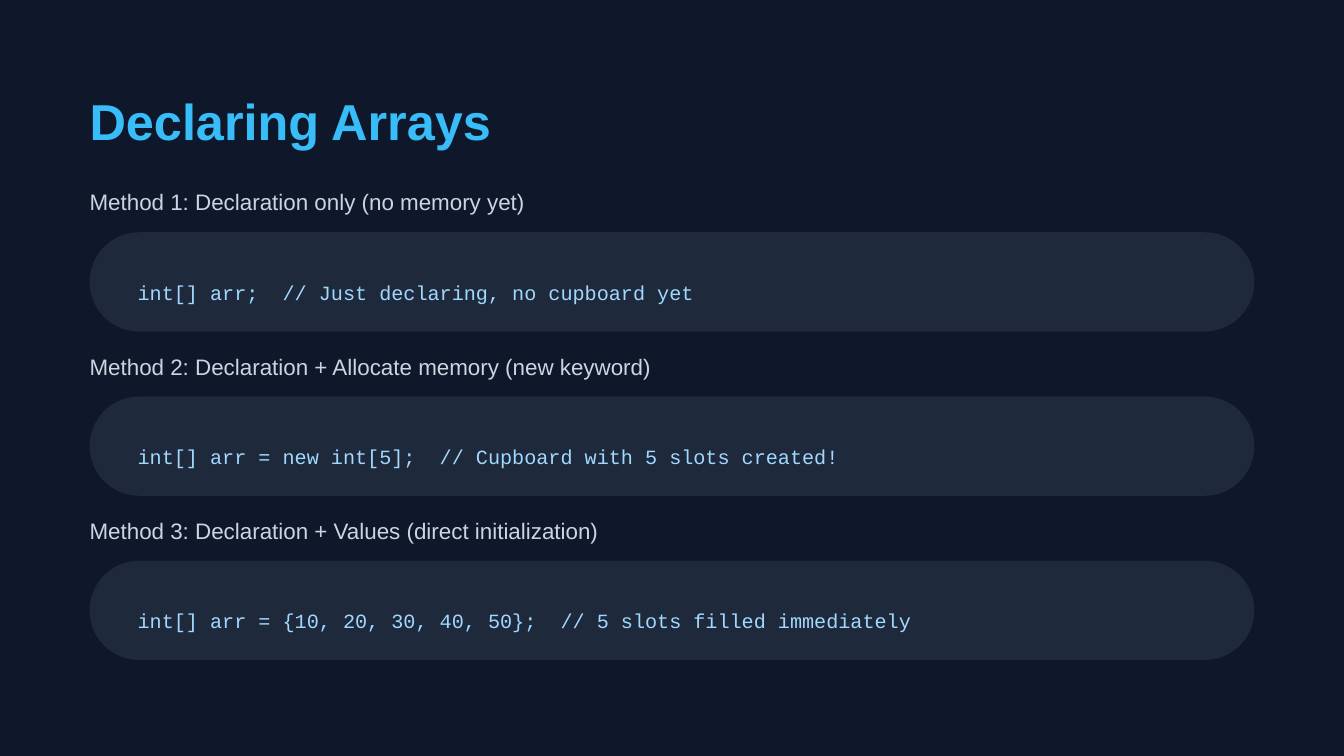
from pptx import Presentation
from pptx.dml.color import RGBColor
from pptx.enum.shapes import MSO_SHAPE
from pptx.enum.text import MSO_ANCHOR, PP_ALIGN
from pptx.util import Pt

LEFT, TEXT_W, CODE_W = 48, 636, 624
METHODS = [
    ("Method 1: Declaration only (no memory yet)",
     "int[] arr;  // Just declaring, no cupboard yet"),
    ("Method 2: Declaration + Allocate memory (new keyword)",
     "int[] arr = new int[5];  // Cupboard with 5 slots created!"),
    ("Method 3: Declaration + Values (direct initialization)",
     "int[] arr = {10, 20, 30, 40, 50};  // 5 slots filled immediately"),
]


def rgb(color):
    return RGBColor.from_string(color)


def write(sp, text, size, color, font="Arial", bold=False, inset=0, spacing=None):
    """Fill a shape with one left-aligned, top-anchored paragraph."""
    tf = sp.text_frame
    tf.word_wrap = True
    tf.vertical_anchor = MSO_ANCHOR.TOP
    tf.margin_left = tf.margin_right = tf.margin_top = tf.margin_bottom = Pt(inset)
    p = tf.paragraphs[0]
    p.text = text
    p.alignment = PP_ALIGN.LEFT
    if spacing:
        p.line_spacing = Pt(spacing)
    p.font.size, p.font.name, p.font.bold = Pt(size), font, bold
    p.font.color.rgb = rgb(color)


def place_title(s, x, y, w, h, text):
    sp = s.shapes.title
    sp.left, sp.top, sp.width, sp.height = Pt(x), Pt(y), Pt(w), Pt(h)
    write(sp, text, 27, "38BDF8", bold=True, spacing=32.4)


def add_method(s, x, y, label, code):
    """Add a label with its rounded code box below."""
    sp = s.shapes.add_textbox(Pt(x), Pt(y), Pt(TEXT_W), Pt(16.8))
    write(sp, label, 12, "CBD5E1", spacing=16.8)

    sp = s.shapes.add_shape(MSO_SHAPE.ROUNDED_RECTANGLE,
                            Pt(x), Pt(y + 25.8), Pt(CODE_W), Pt(53.2))
    sp.adjustments[0] = 0.5
    sp.shadow.inherit = False
    sp.fill.solid()
    sp.fill.fore_color.rgb = rgb("1E293B")
    sp.line.fill.background()
    write(sp, code, 10.8, "A1D8FF", font="Courier New", inset=18)


def main():
    prs = Presentation()
    prs.slide_width, prs.slide_height = Pt(720), Pt(405)
    s = prs.slides.add_slide(prs.slide_layouts[5])
    s.background.fill.solid()
    s.background.fill.fore_color.rgb = rgb("0F172A")

    place_title(s, LEFT, 48.4, TEXT_W, 32.4, "Declaring Arrays")
    for i, (label, code) in enumerate(METHODS):
        add_method(s, LEFT, 98.6 + 88 * i, label, code)
    prs.save("out.pptx")


if __name__ == "__main__":
    main()
